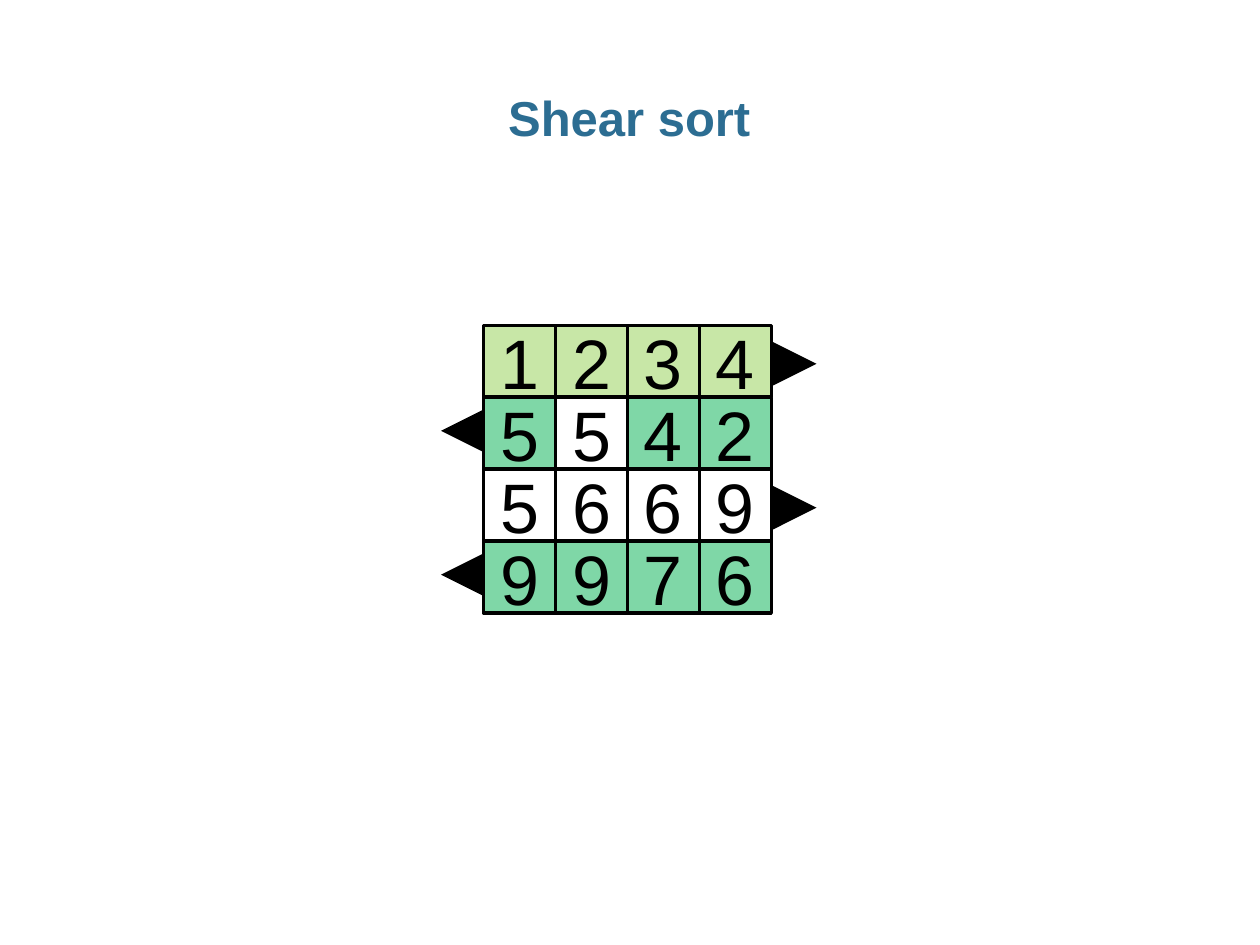
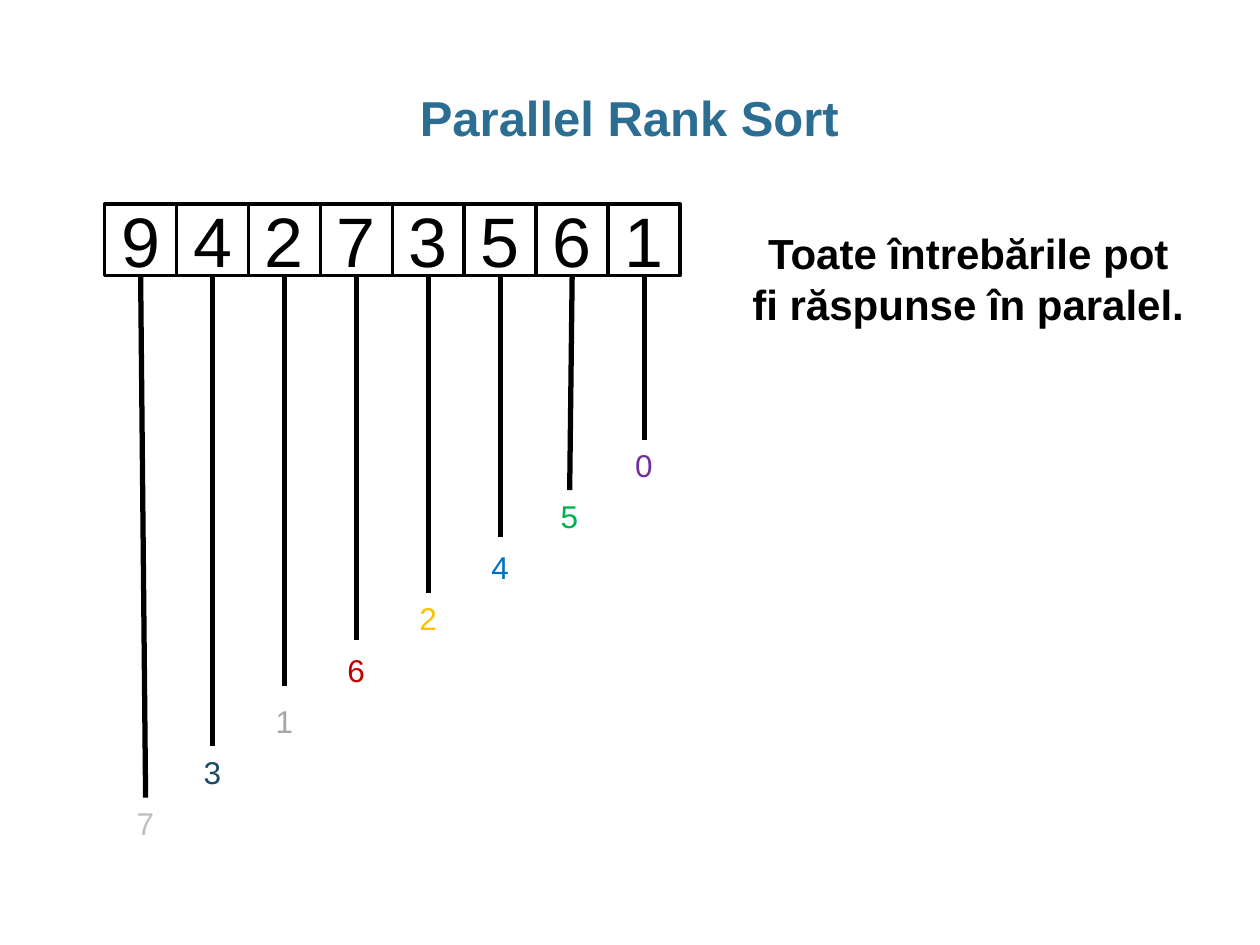
from dataclasses import dataclass

from lxml import etree
from pptx import Presentation
from pptx.dml.color import RGBColor
from pptx.enum.shapes import MSO_CONNECTOR, MSO_SHAPE
from pptx.enum.text import MSO_ANCHOR, MSO_AUTO_SIZE, PP_ALIGN
from pptx.oxml.ns import qn
from pptx.util import Cm, Pt

RECTANGLE = MSO_SHAPE.RECTANGLE
STRAIGHT = MSO_CONNECTOR.STRAIGHT
LEFT, CENTER = PP_ALIGN.LEFT, PP_ALIGN.CENTER
TOP, MIDDLE = MSO_ANCHOR.TOP, MSO_ANCHOR.MIDDLE
NO_FIT, GROW = MSO_AUTO_SIZE.NONE, MSO_AUTO_SIZE.SHAPE_TO_FIT_TEXT
TITLE_ONLY = 5


@dataclass(frozen=True)
class Theme:
    font: str = "Arial"
    title: str = "2C6D92"
    ink: str = "000000"
    sorted_row: str = "92D050"
    reversed_row: str = "00B050"
    fill_opacity: int = 50
    title_size: float = 28
    cell_size: float = 40
    note_size: float = 24
    rank_size: float = 18
    cell_line: float = 2
    rank_line: float = 3
    arrow_line: float = 8.25


THEME = Theme()
CELL = 1.45

GRID_LEFT, GRID_TOP = 9.75, 6.56
GRID = [
    ("1234", [THEME.sorted_row] * 4),
    ("5542", [THEME.reversed_row, None, THEME.reversed_row, THEME.reversed_row]),
    ("5669", [None] * 4),
    ("9976", [THEME.reversed_row] * 4),
]

LIST_LEFT, LIST_TOP = 2.11, 4.11
RANK_TOP, RANK_STEP = 16.08, 1.03
RANK_WIDTH, RANK_HEIGHT = 0.86, 1.02
RANKED = [
    ("9", "7", "BFBFBF", 16.08, 0.1),
    ("4", "3", "1D4A63", 15.04, 0),
    ("2", "1", "A6A6A6", 13.82, 0),
    ("7", "6", "C00000", 12.9, 0),
    ("3", "2", "FFC000", 11.96, 0),
    ("5", "4", "0070C0", 10.82, 0),
    ("6", "5", "00B050", 9.88, -0.05),
    ("1", "0", "7030A0", 8.86, 0),
]


class DeckBuilder:
    def __init__(self, theme):
        self.theme = theme
        self.deck = Presentation()
        self.deck.slide_width = Cm(25.4)
        self.deck.slide_height = Cm(19.05)
        self.page = None

    def start_page(self, title):
        self.page = self.deck.slides.add_slide(self.deck.slide_layouts[TITLE_ONLY])
        box = self.page.shapes.title
        box.left, box.top, box.width, box.height = Cm(0.86), Cm(1.73), Cm(23.65), Cm(1.27)
        frame = box.text_frame
        frame.margin_left = frame.margin_right = 0
        frame.auto_size = NO_FIT
        frame.vertical_anchor = TOP
        para = self.add_text(box, title, self.theme.title_size, self.theme.title, CENTER, True)
        para.line_spacing = 0.95

    def add_text(self, box, text, size, color, align, bold=False):
        para = box.text_frame.paragraphs[0]
        para.alignment = align
        span = para.add_run()
        span.text = text
        span.font.name = self.theme.font
        span.font.size = Pt(size)
        span.font.bold = bold
        span.font.color.rgb = RGBColor.from_string(color)
        return para

    def cell(self, left, top, digit, fill=None):
        box = self.page.shapes.add_shape(RECTANGLE, Cm(left), Cm(top), Cm(CELL), Cm(CELL))
        box.shadow.inherit = False
        if fill:
            box.fill.solid()
            box.fill.fore_color.rgb = RGBColor.from_string(fill)
            color = box._element.spPr.find(qn("a:solidFill"))[0]
            etree.SubElement(color, qn("a:alpha"), val=str(self.theme.fill_opacity * 1000))
        else:
            box.fill.background()
        box.line.color.rgb = RGBColor.from_string(self.theme.ink)
        box.line.width = Pt(self.theme.cell_line)
        box.text_frame.vertical_anchor = MIDDLE
        self.add_text(box, digit, self.theme.cell_size, self.theme.ink, CENTER)

    def label(self, left, top, width, height, text, size, color, align=LEFT, bold=False, wrap=False):
        box = self.page.shapes.add_textbox(Cm(left), Cm(top), Cm(width), Cm(height))
        box.text_frame.word_wrap = wrap
        box.text_frame.auto_size = GROW
        self.add_text(box, text, size, color, align, bold)

    def line(self, start, end, width, arrow=False):
        points = [Cm(value) for value in (*start, *end)]
        connector = self.page.shapes.add_connector(STRAIGHT, *points)
        connector.line.color.rgb = RGBColor.from_string(self.theme.ink)
        connector.line.width = Pt(width)
        properties = connector._element.spPr
        if arrow:
            etree.SubElement(properties.find(qn("a:ln")), qn("a:tailEnd"), type="triangle")
        etree.SubElement(properties, qn("a:effectLst"))


def build_shear_sort(builder):
    builder.start_page("Shear sort")
    for row, (digits, fills) in enumerate(GRID):
        top = GRID_TOP + row * CELL
        for column, (digit, fill) in enumerate(zip(digits, fills)):
            builder.cell(GRID_LEFT + column * CELL, top, digit, fill)
        middle = top + CELL / 2
        if row % 2 == 0:
            start, end = (15.82, middle + 0.05), (16.46, middle + 0.05)
        else:
            start, end = (9.63, middle - 0.05), (8.89, middle - 0.05)
        builder.line(start, end, builder.theme.arrow_line, arrow=True)


def build_rank_sort(builder):
    theme = builder.theme
    builder.start_page("Parallel Rank Sort")
    for index, (digit, rank, color, line_end, shift) in enumerate(RANKED):
        left = LIST_LEFT + index * CELL
        center = left + CELL / 2
        end = center + shift
        builder.cell(left, LIST_TOP, digit)
        builder.line((center, LIST_TOP + CELL), (end, line_end), theme.rank_line)
        builder.label(end - RANK_WIDTH / 2, RANK_TOP - index * RANK_STEP,
                      RANK_WIDTH, RANK_HEIGHT, rank, theme.rank_size, color)
    builder.label(14.86, 4.47, 9.32, 2.31, "Toate întrebările pot fi răspunse în paralel.",
                  theme.note_size, theme.ink, CENTER, bold=True, wrap=True)


def main():
    builder = DeckBuilder(THEME)
    build_shear_sort(builder)
    build_rank_sort(builder)
    builder.deck.save("out.pptx")


if __name__ == "__main__":
    main()
